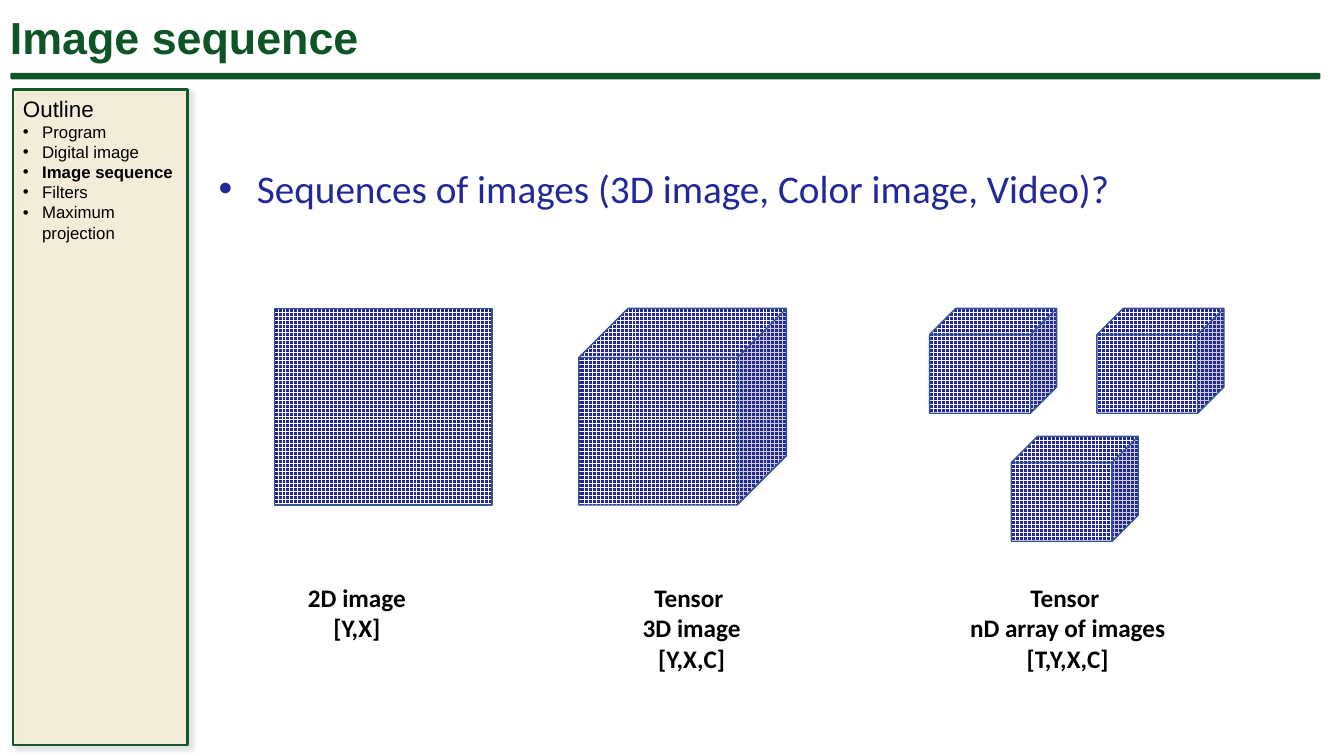
from dataclasses import dataclass

from lxml.etree import SubElement
from pptx import Presentation
from pptx.dml.color import RGBColor
from pptx.enum.dml import MSO_PATTERN as Pattern
from pptx.enum.shapes import MSO_SHAPE as Shape
from pptx.enum.text import MSO_AUTO_SIZE as AutoSize, PP_ALIGN as Align
from pptx.oxml.ns import qn
from pptx.util import Pt

# Content
TITLE = "Image sequence"
OUTLINE_HEAD = "Outline"
OUTLINE = ["Program", "Digital image", "Image sequence", "Filters", "Maximum projection"]
CURRENT = "Image sequence"
QUESTION = "Sequences of images (3D image, Color image, Video)?"
CAPTIONS = [  # left, width, wrap, lines
    (295, 118, False, ["2D image", "[Y,X]"]),
    (592, 188, True, ["Tensor ", "3D image", "[Y,X,C]"]),
    (926, 266, True, ["Tensor ", "nD array of images", "[T,Y,X,C]"]),
]

# Layout in px, 100 to the inch
PX = 9144
PAGE = (1333, 750)
PANEL = (13, 89, 173, 650)
FIGURE_TOP, FIGURE_HEIGHT = 306, 195
SMALL_CUBE = (126, 104)
SMALL_CUBE_CORNERS = [(922, FIGURE_TOP), (1088, FIGURE_TOP), (1003, 433)]
CAPTION_TOP, CAPTION_LINE, CAPTION_PADDING = 573, 30, 11


@dataclass(frozen=True)
class Theme:
    green: str = "0D5427"
    panel: str = "FFF2CC"
    panel_edge: str = "13582C"
    blue: str = "22289A"
    cube_edge: str = "325491"
    black: str = "000000"
    white: str = "FFFFFF"
    sans: str = "Arial"
    body: str = "Calibri"
    title_size: int = 32
    head_size: int = 16
    item_size: int = 12
    question_size: int = 28
    caption_size: int = 18


THEME = Theme()


def rgb(value):
    return RGBColor.from_string(value)


def emu(lengths):
    return [length * PX for length in lengths]


def add_box(page, area, wrap=True):
    frame = page.shapes.add_textbox(*emu(area)).text_frame
    frame.word_wrap = wrap
    frame.auto_size = AutoSize.SHAPE_TO_FIT_TEXT
    return frame


def add_text(frame, text, *, size, font=THEME.body, color=THEME.black,
             bold=False, align=Align.LEFT, bullet_indent=0):
    para = frame.paragraphs[0]
    if para.runs:
        para = frame.add_paragraph()
    para.alignment = align
    if bullet_indent:
        properties = para._p.get_or_add_pPr()
        properties.set("marL", str(bullet_indent * PX))
        properties.set("indent", str(-bullet_indent * PX))
        SubElement(properties, qn("a:buFont"), typeface="Arial")
        SubElement(properties, qn("a:buChar"), char="•")
    span = para.add_run()
    span.text = text
    span.font.name = font
    span.font.size = Pt(size)
    span.font.bold = bold
    span.font.color.rgb = rgb(color)


def add_shape(page, kind, area, fill, edge, edge_width=1):
    shape = page.shapes.add_shape(kind, *emu(area))
    shape.shadow.inherit = False
    shape.fill.solid()
    shape.fill.fore_color.rgb = rgb(fill)
    shape.line.color.rgb = rgb(edge)
    shape.line.width = Pt(edge_width)
    return shape


def add_pixel_shape(page, kind, area):
    shape = add_shape(page, kind, area, THEME.blue, THEME.cube_edge)
    shape.fill.patterned()
    shape.fill.pattern = Pattern.LARGE_GRID
    shape.fill.fore_color.rgb = rgb(THEME.white)
    shape.fill.back_color.rgb = rgb(THEME.blue)
    return shape


def soften(shape, opacity, shadow_opacity):
    """Make the fill translucent and cast a soft diagonal shadow."""
    properties = shape._element.spPr
    fill_color = properties.find(qn("a:solidFill"))[0]
    SubElement(fill_color, qn("a:alpha"), val=str(opacity * 1000))
    shadow = SubElement(properties.find(qn("a:effectLst")), qn("a:outerShdw"),
                        blurRad=str(Pt(4)), dist=str(Pt(3)), dir=str(45 * 60000),
                        algn="tl", rotWithShape="0")
    shadow_color = SubElement(shadow, qn("a:srgbClr"), val=THEME.black)
    SubElement(shadow_color, qn("a:alpha"), val=str(shadow_opacity * 1000))


def main():
    deck = Presentation()
    deck.slide_width, deck.slide_height = emu(PAGE)
    page = deck.slides.add_slide(deck.slide_layouts[6])

    # Title and rule
    add_text(add_box(page, (0, 5, 1300, 64)), TITLE, size=THEME.title_size,
             font=THEME.sans, color=THEME.green, bold=True)
    add_shape(page, Shape.ROUNDED_RECTANGLE, (11, 73, 1298, 5), THEME.green, THEME.green)

    # Outline panel
    panel = add_shape(page, Shape.RECTANGLE, PANEL, THEME.panel, THEME.panel_edge, 1.75)
    soften(panel, opacity=50, shadow_opacity=18)
    outline = add_box(page, (*PANEL[:3], 182))
    add_text(outline, OUTLINE_HEAD, size=THEME.head_size, font=THEME.sans)
    for item in OUTLINE:
        add_text(outline, item, size=THEME.item_size, font=THEME.sans,
                 bold=item == CURRENT, bullet_indent=19)

    # Pixel grids: volume, flat image, array of volumes
    add_pixel_shape(page, Shape.CUBE, (574, FIGURE_TOP, 206, FIGURE_HEIGHT))
    flat = add_pixel_shape(page, Shape.ROUND_1_RECTANGLE,
                           (272, FIGURE_TOP, 216, FIGURE_HEIGHT))
    flat.adjustments[0] = 0
    for corner in SMALL_CUBE_CORNERS:
        add_pixel_shape(page, Shape.CUBE, (*corner, *SMALL_CUBE))

    # Captions
    for left, width, wrap, lines in CAPTIONS:
        height = CAPTION_LINE * len(lines) + CAPTION_PADDING
        caption = add_box(page, (left, CAPTION_TOP, width, height), wrap)
        for line in lines:
            add_text(caption, line, size=THEME.caption_size, bold=True, align=Align.CENTER)

    # Question
    add_text(add_box(page, (207, 158, 1104, 57)), QUESTION, size=THEME.question_size,
             color=THEME.blue, bullet_indent=38)

    deck.save("out.pptx")


if __name__ == "__main__":
    main()
